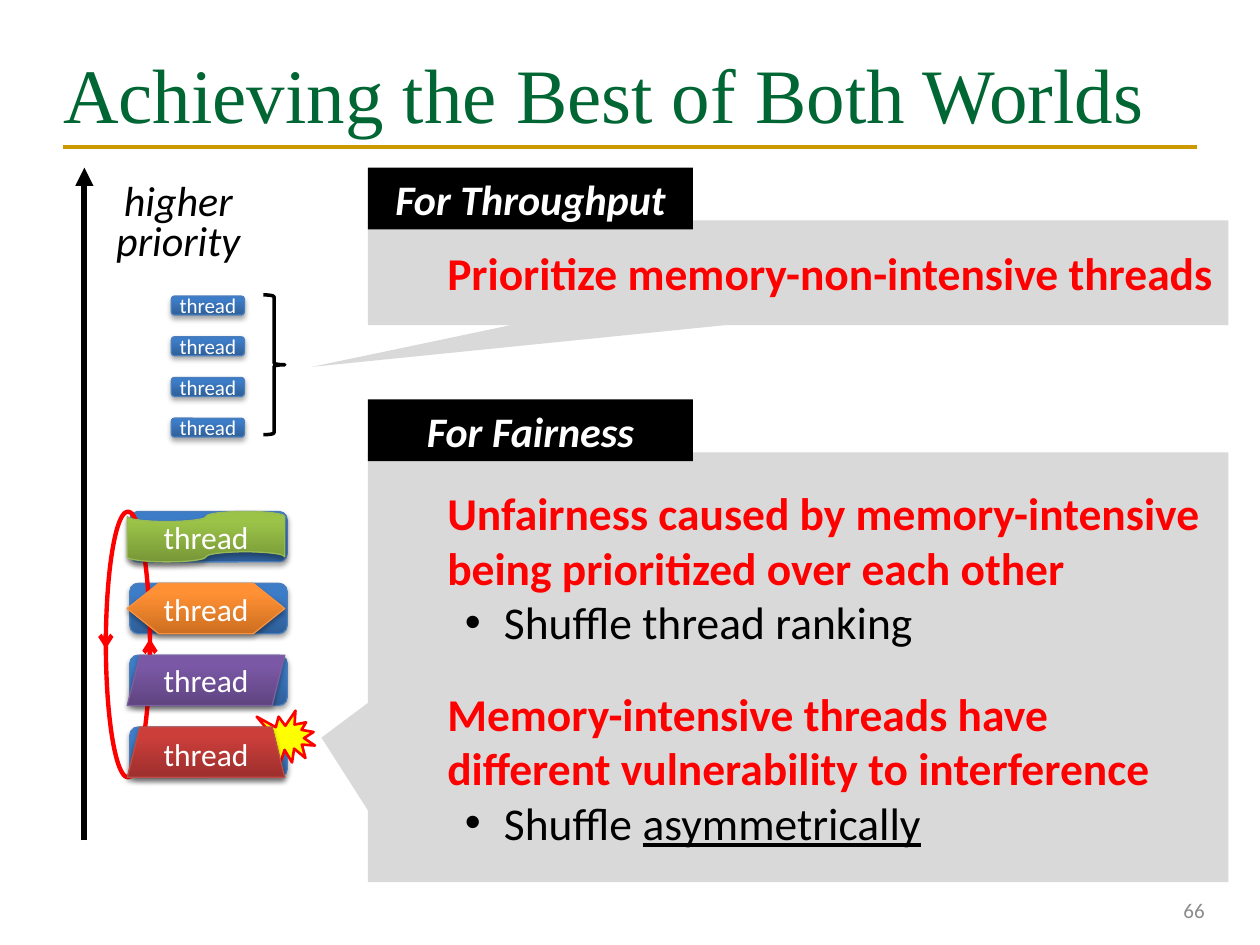
from lxml.etree import SubElement as Sub
from pptx import Presentation
from pptx.dml.color import RGBColor as RGB
from pptx.enum.shapes import MSO_CONNECTOR, MSO_SHAPE as Kind
from pptx.enum.text import MSO_ANCHOR as Anchor, PP_ALIGN as Align
from pptx.oxml.ns import qn
from pptx.util import Inches, Pt

BLACK, WHITE = RGB(0, 0, 0), RGB(255, 255, 255)
RED, YELLOW = RGB(255, 0, 0), RGB(255, 255, 0)
GREEN, GOLD = RGB(0, 0x66, 0x33), RGB(0xCC, 0x99, 0)
PALE, GREY = RGB(0xD9, 0xD9, 0xD9), RGB(0x8C, 0x8C, 0x8C)
# dark end, light end, outline
BLUES = RGB(0x2F, 0x5F, 0x99), RGB(0x3D, 0x7C, 0xC7), RGB(0x4B, 0x7E, 0xBC)
LIMES = RGB(0x77, 0x97, 0x37), RGB(0x9B, 0xC3, 0x48), RGB(0x98, 0xB9, 0x55)
ORANGES = RGB(0xCC, 0x6E, 0x20), RGB(0xFF, 0x90, 0x34), RGB(0xF6, 0x92, 0x40)
PURPLES = RGB(0x5F, 0x44, 0x80), RGB(0x7B, 0x58, 0xA6), RGB(0x7D, 0x60, 0xA0)
REDS = RGB(0x9C, 0x2F, 0x2D), RGB(0xCB, 0x3E, 0x3A), RGB(0xBF, 0x4C, 0x48)

deck = Presentation()
deck.slide_width, deck.slide_height = Inches(10), Inches(7.5)
COL, ROW = deck.slide_width / 100, deck.slide_height / 75
slide = deck.slides.add_slide(deck.slide_layouts[5])
shapes = slide.shapes


def add(kind, x, y, w, h, fill=None, edge=None, wide=0.75):
    """Add a shape by grid place; a fill of three colours is a shaded tile."""
    shape = shapes.add_shape(kind, int(x * COL), int(y * ROW), int(w * COL), int(h * ROW))
    shape.shadow.inherit = False
    if isinstance(fill, tuple) and not isinstance(fill, RGB):
        dark, light, edge = fill
        shape.fill.gradient()
        shape.fill.gradient_angle = 90
        low, high = shape.fill.gradient_stops
        low.color.rgb, low.position = dark, 0
        high.color.rgb, high.position = light, 0.8
        glow = shape._element.spPr.find(qn("a:effectLst"))
        shade = Sub(glow, qn("a:outerShdw"), blurRad=str(Pt(3.1)), dist=str(Pt(1.8)),
                    dir="5400000", rotWithShape="0")
        tint = Sub(shade, qn("a:srgbClr"), val="000000")
        Sub(tint, qn("a:alpha"), val="35000")
    elif fill is not None:
        shape.fill.solid()
        shape.fill.fore_color.rgb = fill
    else:
        shape.fill.background()
    if edge is None:
        shape.line.fill.background()
    else:
        shape.line.color.rgb, shape.line.width = edge, Pt(wide)
    return shape


def write(shape, text, size, color, align=Align.CENTER, side=0, name="Calibri", **style):
    frame = shape.text_frame
    frame.text = text
    frame.word_wrap = True
    frame.vertical_anchor = Anchor.MIDDLE
    frame.margin_left = frame.margin_right = int(side * COL)
    for para in frame.paragraphs:
        para.alignment = align
        for run in para.runs:
            font = run.font
            font.name, font.size, font.color.rgb = name, Pt(size), color
            for key, value in style.items():
                setattr(font, key, value)
    return frame


title = shapes.title
title.left, title.top = int(5 * COL), int(3 * ROW)
title.width, title.height = int(90 * COL), int(8.7 * ROW)
write(title, "Achieving the Best of Both Worlds", 44, GREEN, Align.LEFT, name="Times New Roman")

page = shapes.add_textbox(int(73.3 * COL), int(70.2 * ROW), int(23.3 * COL), int(4 * ROW))
write(page, "66", 12, GREY, Align.RIGHT, side=1)

note = shapes.add_textbox(int(9.1 * COL), int(14.1 * ROW), int(10.1 * COL), int(7.6 * ROW))
frame = write(note, "higher\npriority", 24, BLACK, italic=True)
frame.vertical_anchor = Anchor.TOP
for para in frame.paragraphs:
    para.line_spacing = 0.8

# Thread tiles: four small ones, then four big ones
for i in range(4):
    small = add(Kind.ROUNDED_RECTANGLE, 13.6, 23.5 + 3.23 * i, 5.8, 1.5, BLUES)
    write(small, "thread", 12, WHITE)
    add(Kind.ROUNDED_RECTANGLE, 10.3, 40.6 + 5.7 * i, 12.5, 4, BLUES)

# Callouts with their black headings
throw = add(Kind.RECTANGULAR_CALLOUT, 29.2, 17.5, 68.3, 8.3, PALE)
throw.adjustments[0], throw.adjustments[1] = -0.565, 0.9
frame = write(throw, "Prioritize memory-non-intensive threads", 26, RED, Align.LEFT, bold=True)
frame.paragraphs[0]._p.get_or_add_pPr().set("marL", str(Inches(0.63)))

fair = add(Kind.RECTANGULAR_CALLOUT, 29.2, 35.9, 68.3, 34.1, PALE)
fair.adjustments[0], fair.adjustments[1] = -0.554, 0.164
frame = write(fair, "Unfairness caused by memory-intensive being prioritized over each other\n"
              "Shuffle thread ranking\n"
              "Memory-intensive threads have\vdifferent vulnerability to interference\n"
              "Shuffle asymmetrically", 26, RED, Align.LEFT, bold=True)
for i, para in enumerate(frame.paragraphs):
    props = para._p.get_or_add_pPr()
    if i % 2 == 0:
        props.set("marL", str(Inches(0.63)))
        continue
    props.set("marL", str(Inches(1.08)))
    props.set("indent", str(Inches(-0.31)))
    Sub(props, qn("a:buFont"), typeface="Arial")
    Sub(props, qn("a:buChar"), char="•")
    for run in para.runs:
        run.font.bold, run.font.color.rgb = False, BLACK
frame.paragraphs[2].space_before = Pt(21)
first = frame.paragraphs[3].runs[0]
first.text = "Shuffle "
last = frame.paragraphs[3].add_run()
last.text = "asymmetrically"
font = last.font
font.name, font.size, font.color.rgb = "Calibri", Pt(26), BLACK
font.bold, font.underline = False, True

for y, text in (13.3, "For Throughput"), (31.7, "For Fairness"):
    head = add(Kind.RECTANGLE, 29.2, y, 25.8, 4.9, BLACK)
    write(head, text, 24, WHITE, side=1, bold=True, italic=True)

# Title rule, priority axis and the two heads of the shuffle loop
for x, y, x2, y2, color, wide, tip in (
    (5, 11.65, 95, 11.65, GOLD, 2.25, None),
    (6.7, 66.7, 6.7, 13.3, BLACK, 3.5, "triangle"),
    (8.4, 50.7, 8.4, 51.5, RED, 2.5, "arrow"),
    (11.9, 51.5, 11.9, 50.7, RED, 2.5, "arrow"),
):
    line = shapes.add_connector(MSO_CONNECTOR.STRAIGHT, int(x * COL), int(y * ROW),
                                int(x2 * COL), int(y2 * ROW))
    line.line.color.rgb, line.line.width = color, Pt(wide)
    if tip:
        Sub(line.line._get_or_add_ln(), qn("a:tailEnd"), type=tip)
    Sub(line._element.spPr, qn("a:effectLst"))

add(Kind.RIGHT_BRACE, 20.9, 23.4, 1.7, 11.1, None, BLACK, 2)
add(Kind.OVAL, 8.4, 40.6, 3.5, 21.1, None, RED, 2.5)
add(Kind.EXPLOSION1, 20.3, 56.4, 4.7, 4.5, YELLOW, RED, 1.5)

# Each big thread has its own outline and colour
masks = ((Kind.FLOWCHART_PUNCHED_TAPE, LIMES), (Kind.FLOWCHART_PREPARATION, ORANGES),
         (Kind.PARALLELOGRAM, PURPLES), (Kind.TRAPEZOID, REDS))
for i, (kind, tones) in enumerate(masks):
    mask = add(kind, 10.1, 40.6 + 5.7 * i, 12.5, 4, tones)
    write(mask, "thread", 18, WHITE)

deck.save("out.pptx")
